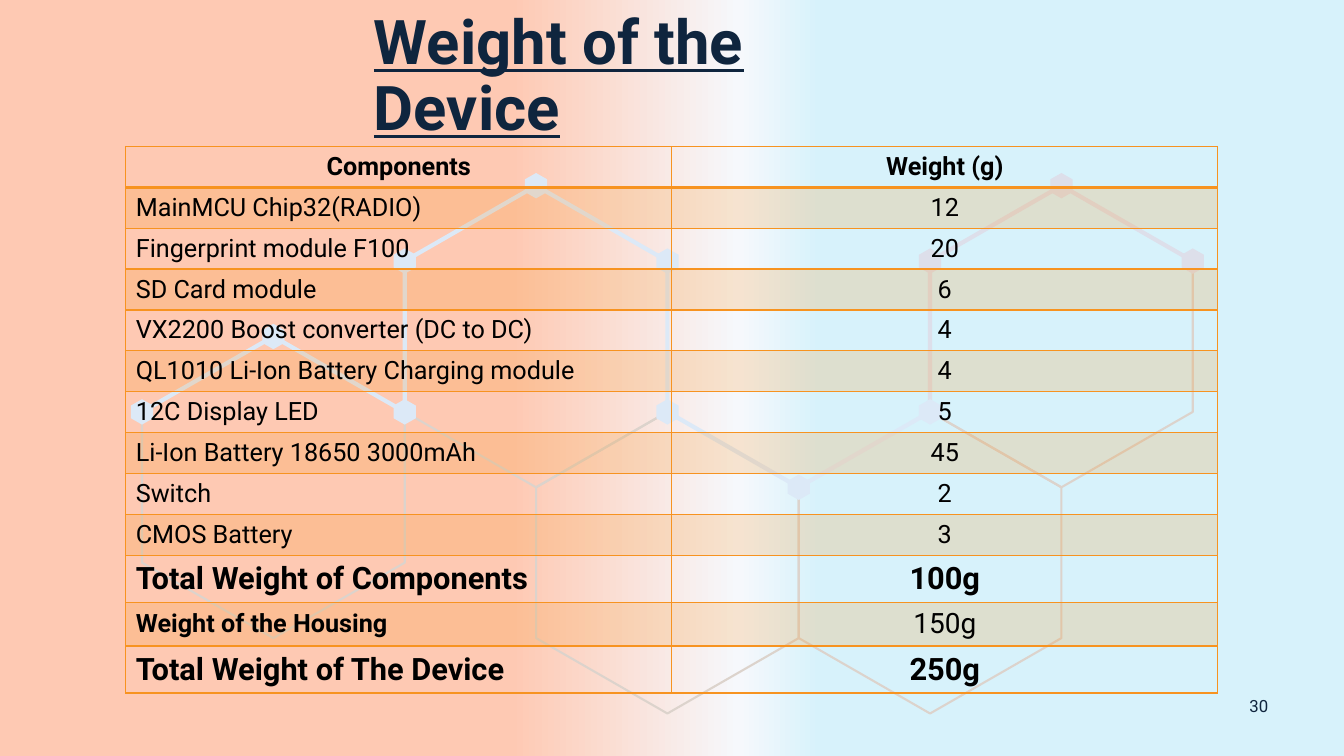
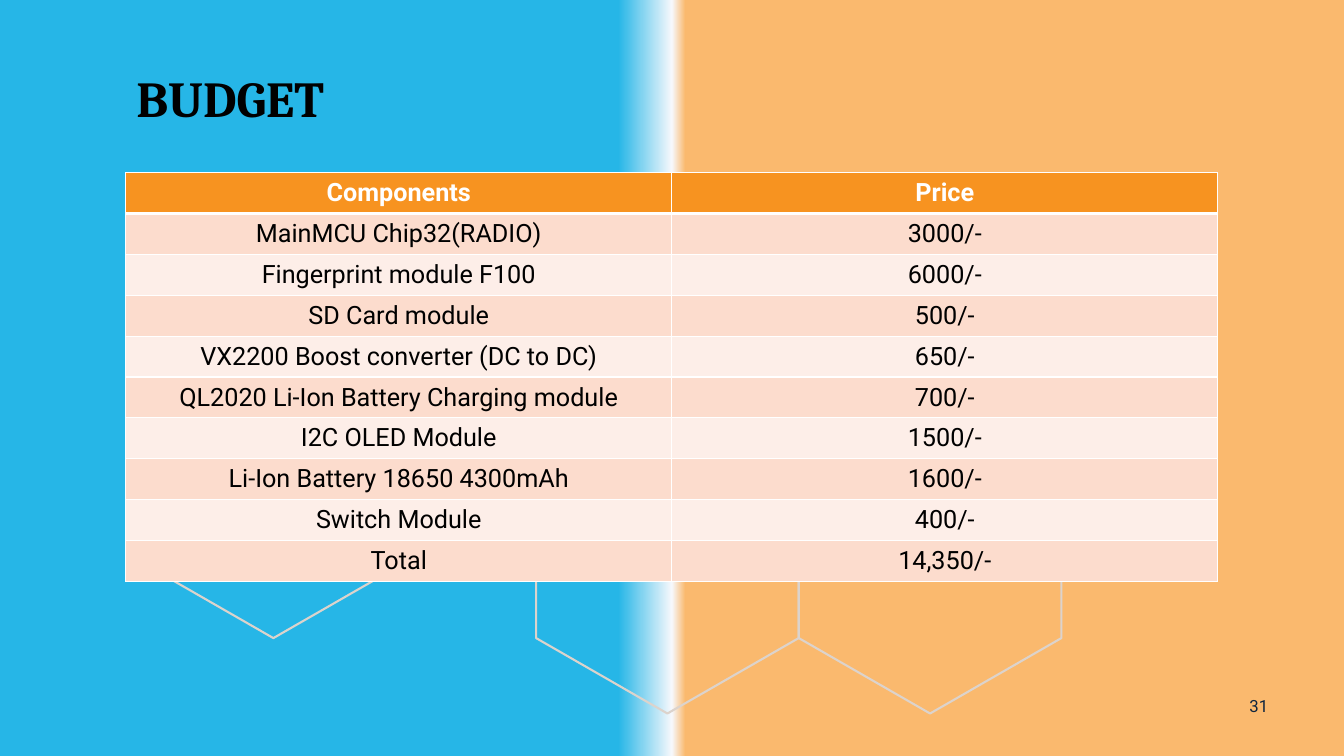
from pptx import Presentation
from pptx import util as u
from pptx.dml.color import RGBColor
from pptx.enum import text as t
from pptx.oxml import ns
from lxml import etree

INK = dict(navy="0F253E", black="000000", white="FFFFFF", gold="F79320",
           rose="FCDCCD", blush="FDEEE8", mesh="DCD3CC", ice="DCE9F7", haze="DDDFEA")
FONT = "Roboto"

WEIGHT = dict(
    page="30", title="Weight of the Device", spot=(9.17, 0.15, 14.66, 2.41),
    face=dict(size=44, ink="navy", line=True),
    back=[(38, "FEC9B3"), (55, "F6F8FC"), (61, "D7F2FB")],
    top=3.69, edge="gold", rule=2, head=(None, "black"), bands=[("gold", 20), None], side="LEFT",
    rows=[("Components", "Weight (g)"), ("MainMCU Chip32(RADIO)", "12"),
          ("Fingerprint module F100", "20"), ("SD Card module", "6"),
          ("VX2200 Boost converter (DC to DC)", "4"),
          ("QL1010 Li-Ion Battery Charging module", "4"), ("12C Display LED", "5"),
          ("Li-Ion Battery 18650 3000mAh", "45"), ("Switch", "2"), ("CMOS Battery", "3"),
          ("Total Weight of Components", "100g"), ("Weight of the Housing", "150g"),
          ("Total Weight of The Device", "250g")],
    big={(10, 0): (22, True), (10, 1): (22, True), (11, 0): (18, True),
         (11, 1): (20, False), (12, 0): (22, True), (12, 1): (22, True)})

BUDGET = dict(
    page="31", title="BUDGET", spot=(3.18, 1.73, 27.51, 1.75),
    face=dict(size=36, ink="black", font="Cambria"),
    back=[(46, "26B6E7"), (50, "F6F8FC"), (51, "FAB96E")],
    top=4.35, edge="white", rule=3, head=(("gold", 100), "white"),
    bands=[("rose", 100), ("blush", 100)], side="CENTER",
    rows=[("Components", "Price"), ("MainMCU Chip32(RADIO)", "3000/-"),
          ("Fingerprint module F100", "6000/-"), ("SD Card module", "500/-"),
          ("VX2200 Boost converter (DC to DC)", "650/-"),
          ("QL2020 Li-Ion Battery Charging module", "700/-"), ("I2C OLED Module", "1500/-"),
          ("Li-Ion Battery 18650 4300mAh", "1600/-"), ("Switch Module", "400/-"),
          ("Total", "14,350/-")],
    big={})

HEXES = [(1, 4), (3, 2), (4, 5), (6, 5), (7, 2)]
TRAILS = [("ice", [(0, 3), (1, 2), (2, 3), (2, 1), (3, 0), (4, 1), (4, 3), (5, 4), (6, 3)]),
          ("haze", [(8, 1), (7, 0), (6, 1), (6, 3)])]
STEP, DOT, ZERO = (3.31, 1.9), (0.28, 0.16), (3.58, 4.68)


def color(name):
    return RGBColor.from_string(INK[name])


def write(frame, words, size=18, ink="black", font=FONT, bold=False, line=None,
          align="CENTER", space=None):
    para = frame.paragraphs[0]
    para.alignment = getattr(t.PP_ALIGN, align)
    para.line_spacing = space
    run = para.add_run()
    run.text = words
    face = run.font
    face.size, face.name, face.bold, face.underline = u.Pt(size), font, bold, line
    face.color.rgb = color(ink)


def spot(col, row):
    return ZERO[0] + col * STEP[0], ZERO[1] + row * STEP[1]


def ring(mid, step):
    return [(mid[0] + x * step[0], mid[1] + y * step[1])
            for x, y in [(0, -2), (1, -1), (1, 1), (0, 2), (-1, 1), (-1, -1)]]


def trace(slide, points, close=True, line=None, fill=None, wide=1.5):
    dots = [(u.Cm(x), u.Cm(y)) for x, y in points]
    pen = slide.shapes.build_freeform(*dots[0])
    pen.add_line_segments(dots[1:], close=close)
    shape = pen.convert_to_shape()
    shape.shadow.inherit = False
    if fill:
        shape.fill.solid()
        shape.fill.fore_color.rgb = color(fill)
    else:
        shape.fill.background()
    if line:
        shape.line.color.rgb = color(line)
        shape.line.width = u.Pt(wide)
    else:
        shape.line.fill.background()
    return shape


def lattice(slide, layout):
    parts = [trace(slide, ring(spot(*mid), STEP), line="mesh") for mid in HEXES]
    parts += [trace(slide, [spot(*p) for p in path], False, line=ink, wide=3)
              for ink, path in TRAILS]
    nodes = {p: ink for ink, path in reversed(TRAILS) for p in path}
    parts += [trace(slide, ring(spot(*p), DOT), fill=ink) for p, ink in nodes.items()]
    for num, part in enumerate(parts, 100):
        part.element.nvSpPr.cNvPr.set("id", str(num))
        layout.shapes.element.append(part.element)


def backdrop(slide, stops):
    fill = slide.background.fill
    fill.gradient()
    fill.gradient_angle = 0
    ramp = slide.element.find(".//" + ns.qn("a:gsLst"))
    for old in list(ramp):
        ramp.remove(old)
    for pos, tone in stops:
        stop = etree.SubElement(ramp, ns.qn("a:gs"), pos=str(pos * 1000))
        etree.SubElement(stop, ns.qn("a:srgbClr"), val=tone)


def border(cell, ink, **sides):
    props = cell._tc.get_or_add_tcPr()
    for side in "LRTB":
        line = etree.SubElement(props, ns.qn("a:ln" + side), w=str(u.Pt(sides.get(side, 1))))
        fill = etree.SubElement(line, ns.qn("a:solidFill"))
        etree.SubElement(fill, ns.qn("a:srgbClr"), val=INK[ink])


def shade(cell, band):
    if not band:
        cell.fill.background()
        return
    ink, part = band
    cell.fill.solid()
    cell.fill.fore_color.rgb = color(ink)
    if part < 100:
        tone = cell._tc.tcPr.find(ns.qn("a:solidFill"))[0]
        etree.SubElement(tone, ns.qn("a:alpha"), val=str(part * 1000))


def grid(slide, data):
    rows, high = data["rows"], 1.03
    table = slide.shapes.add_table(len(rows), 2, u.Cm(3.17), u.Cm(data["top"]),
                                   u.Cm(27.52), u.Cm(high * len(rows))).table
    table.first_row = table.horz_banding = False
    for r, row in enumerate(rows):
        table.rows[r].height = u.Cm(high)
        band, ink = data["head"] if r == 0 else (data["bands"][(r - 1) % 2], "black")
        thick = {0: {"B": data["rule"]}, 1: {"T": data["rule"]}}.get(r, {})
        for c, words in enumerate(row):
            cell = table.cell(r, c)
            cell.vertical_anchor = t.MSO_ANCHOR.MIDDLE
            border(cell, data["edge"], **thick)
            shade(cell, band)
            size, bold = data["big"].get((r, c), (18, r == 0))
            write(cell.text_frame, words, size=size, bold=bold, ink=ink,
                  align=data["side"] if r and c == 0 else "CENTER")


def build(slide, data):
    backdrop(slide, data["back"])
    title = slide.shapes.title
    title.left, title.top, title.width, title.height = map(u.Cm, data["spot"])
    frame = title.text_frame
    frame.auto_size = t.MSO_AUTO_SIZE.NONE
    frame.vertical_anchor = t.MSO_ANCHOR.TOP
    write(frame, data["title"], bold=True, align="LEFT", space=0.9, **data["face"])
    page = slide.shapes.add_textbox(*map(u.Cm, (31.09, 17.27, 1.27, 1.02))).text_frame
    page.word_wrap = True
    page.vertical_anchor = t.MSO_ANCHOR.MIDDLE
    write(page, data["page"], size=12, ink="navy")
    grid(slide, data)


def main():
    deck = Presentation()
    deck.slide_width, deck.slide_height = u.Cm(33.87), u.Cm(19.05)
    layout = deck.slide_layouts[5]
    slides = [deck.slides.add_slide(layout) for _ in range(2)]
    lattice(slides[0], layout)
    for slide, data in zip(slides, (WEIGHT, BUDGET)):
        build(slide, data)
    deck.save("out.pptx")


if __name__ == "__main__":
    main()
